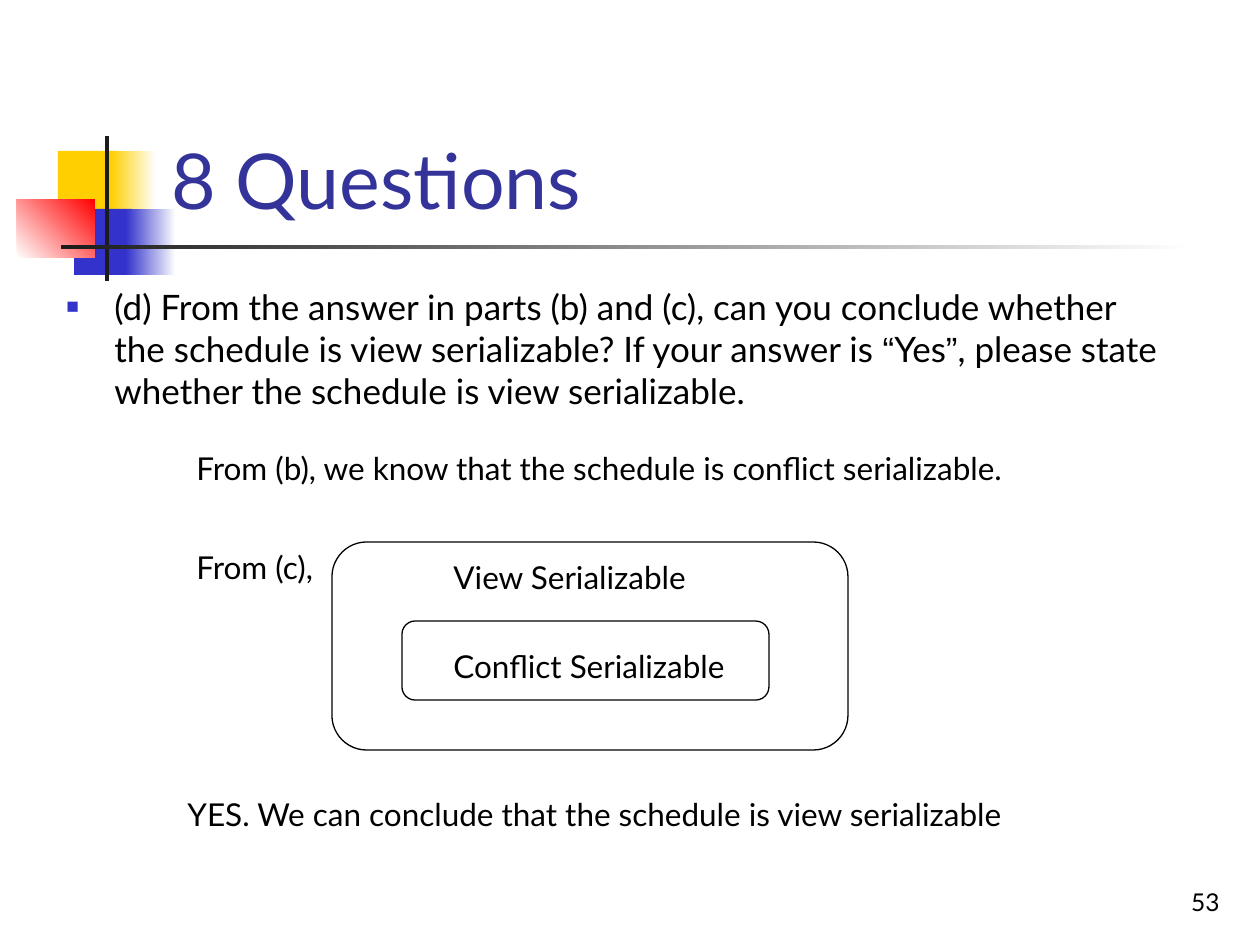
import pptx
import pptx.util
import pptx.dml.color
import pptx.enum.shapes
import pptx.enum.text
import pptx.oxml.ns
import lxml.etree

SHAPE = pptx.enum.shapes.MSO_SHAPE
ANCHOR = pptx.enum.text.MSO_ANCHOR
ALIGN = pptx.enum.text.PP_ALIGN
BLACK, WHITE, BLUE = "000000", "FFFFFF", "3333CC"
GOLD, RED, DARK = "FFCF01", "FF0000", "1C1C1C"


def px(n):
    """Length in EMU at 126 px to the inch."""
    return pptx.util.Emu(round(n * 914400 / 126))


def color(text):
    return pptx.dml.color.RGBColor.from_string(text)


def place(slide, kind, box):
    shape = slide.shapes.add_shape(kind, *map(px, box))
    shape.shadow.inherit = False
    return shape


def block(slide, box, first, last=None, angle=0):
    """Rectangle without outline, plain or fading from first to last."""
    shape = place(slide, SHAPE.RECTANGLE, box)
    shape.line.fill.background()
    if last is None:
        shape.fill.solid()
        shape.fill.fore_color.rgb = color(first)
        return
    shape.fill.gradient()
    shape.fill.gradient_angle = angle
    for stop, tint, spot in zip(shape.fill.gradient_stops, (first, last), (0, 1)):
        stop.color.rgb = color(tint)
        stop.position = spot


def frame(slide, box):
    """Rounded outline around a class of schedules."""
    shape = place(slide, SHAPE.ROUNDED_RECTANGLE, box)
    shape.fill.background()
    shape.line.color.rgb = color(BLACK)
    shape.line.width = pptx.util.Pt(0.75)


def label(slide, box, text, size=18, tint=BLACK, anchor=ANCHOR.TOP, align=ALIGN.LEFT):
    body = slide.shapes.add_textbox(*map(px, box)).text_frame
    body.word_wrap = True
    body.vertical_anchor = anchor
    para = body.paragraphs[0]
    para.text = text
    para.alignment = align
    style(para.font, size, tint)


def style(font, size, tint):
    font.name = "Lato"
    font.size = pptx.util.Pt(size)
    font.color.rgb = color(tint)


def bullet(para, indent):
    """Hanging square bullet."""
    props = para._p.get_or_add_pPr()
    props.set("marL", str(indent))
    props.set("indent", str(-indent))

    def add(parent, tag, **attrs):
        return lxml.etree.SubElement(parent, pptx.oxml.ns.qn(tag), attrs)

    add(add(props, "a:buClr"), "a:srgbClr", val=BLUE)
    add(props, "a:buSzPct", val="60000")
    add(props, "a:buFont", typeface="Arial")
    add(props, "a:buChar", char="■")


def question(slide, box, parts):
    """Bulleted question; its quote marks are set in Arial."""
    body = slide.shapes.add_textbox(*map(px, box)).text_frame
    body.word_wrap = True
    para = body.paragraphs[0]
    bullet(para, px(48))
    for part in parts:
        run = para.add_run()
        run.text = part
        style(run.font, 20, BLACK)
        if part in "“”":
            run.font.name = "Arial"


def main():
    deck = pptx.Presentation()
    deck.slide_width, deck.slide_height = px(1260), px(945)
    slide = deck.slides.add_slide(deck.slide_layouts[6])

    # Corner ornament and title rule
    block(slide, (58, 151, 60, 66), GOLD)
    block(slide, (111, 151, 45, 66), GOLD, WHITE)
    block(slide, (74, 209, 58, 66), BLUE)
    block(slide, (126, 209, 50, 66), BLUE, WHITE)
    block(slide, (17, 199, 78, 59), WHITE, RED, 45)
    block(slide, (105, 136, 4, 145), DARK)
    block(slide, (61, 245, 1134, 4), DARK, WHITE)

    # Page number and title
    label(slide, (970, 860, 262, 63), "53", 14, BLACK, ANCHOR.BOTTOM, ALIGN.RIGHT)
    label(slide, (159, 29, 1074, 202), "8 Questions", 44, "333399", ANCHOR.BOTTOM)

    # Question
    question(slide, (54, 279, 1132, 165), (
        "(d) From the answer in parts (b) and (c), can you conclude whether "
        "the schedule is view serializable? If your answer is ",
        "“", "Yes", "”",
        ", please state whether the schedule is view serializable."))

    # Nested classes
    frame(slide, (332, 542, 516, 208))
    frame(slide, (402, 621, 367, 79))
    label(slide, (441, 641, 298, 50), "Conflict Serializable")
    label(slide, (441, 552, 298, 50), "View Serializable")

    # Reasoning
    label(slide, (184, 542, 155, 50), "From (c),")
    label(slide, (184, 443, 873, 50),
          "From (b), we know that the schedule is conflict serializable.")
    label(slide, (175, 789, 848, 50),
          "YES. We can conclude that the schedule is view serializable")

    deck.save("out.pptx")


if __name__ == "__main__":
    main()
